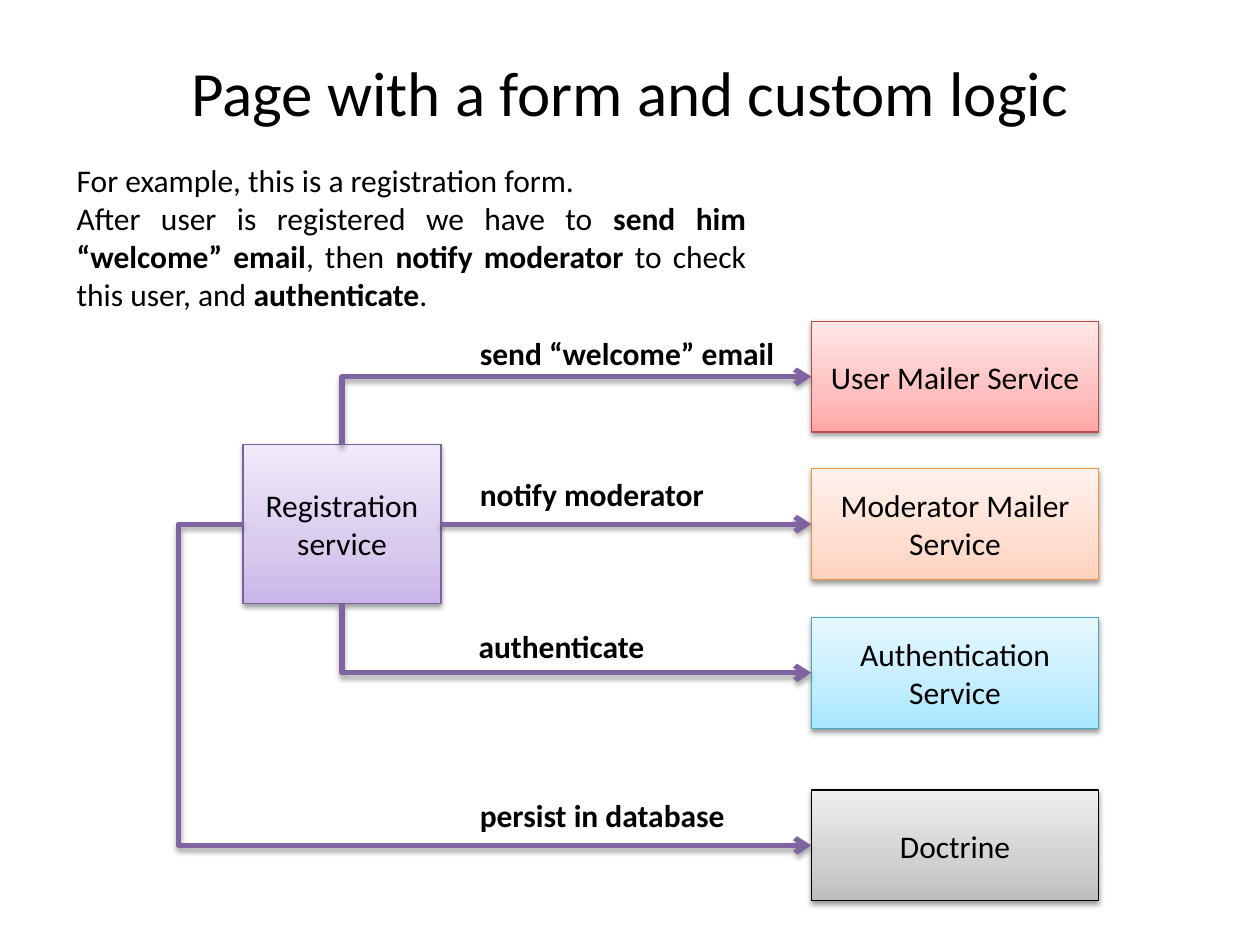
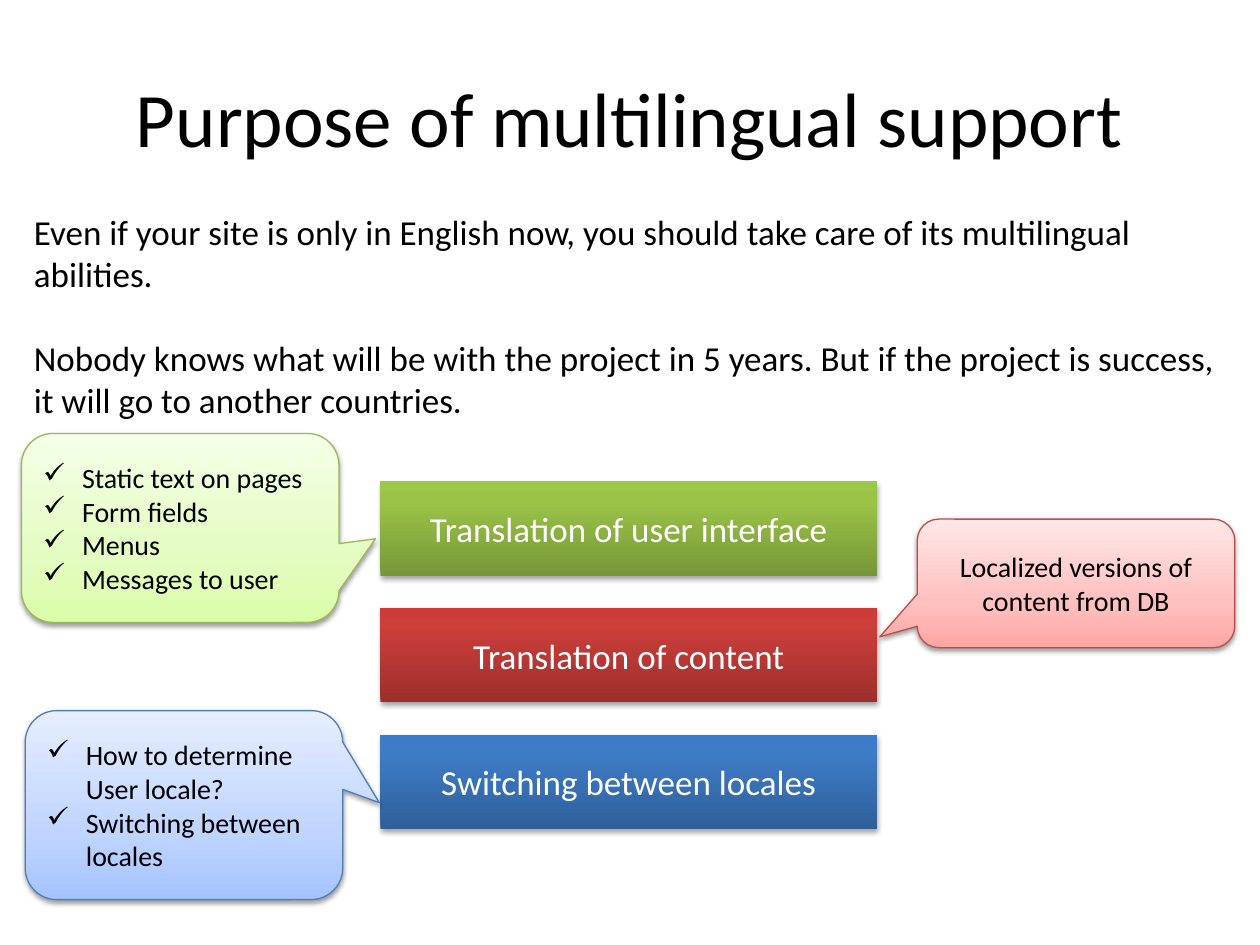
from copy import deepcopy
from dataclasses import dataclass

from lxml.etree import SubElement
from pptx import Presentation
from pptx.dml.color import RGBColor
from pptx.enum.shapes import MSO_CONNECTOR as Link, MSO_SHAPE as Shape
from pptx.enum.text import MSO_ANCHOR as Anchor, PP_ALIGN as Align
from pptx.oxml.ns import qn
from pptx.util import Inches, Pt

UNIT = Inches(0.1)  # the grid has 100 columns and 75 rows
TOP, LEFT, BOTTOM, RIGHT = range(4)


@dataclass(frozen=True)
class Tint:
    """Gradient colours from bottom to top, with an optional outline."""
    stops: tuple
    line: str = ""
    mid: float = 0.35


@dataclass(frozen=True)
class Theme:
    font: str = "Calibri"
    ink: str = "000000"
    paper: str = "FFFFFF"
    arrow: str = "8064A2"
    body: int = 18
    large: int = 20
    small: int = 16
    violet: Tint = Tint(("C9B5E8", "D8CBEE", "F0EAF9"), "7D60A0")
    red: Tint = Tint(("FFA6A5", "FFC0BF", "FFE7E7"), "BF4C48")
    peach: Tint = Tint(("FFD2BD", "FFDED0", "FFF2ED"), "F69240")
    aqua: Tint = Tint(("A7E6FF", "C1EDFF", "E7F8FF"), "46AAC5")
    grey: Tint = Tint(("BDBDBD", "D1D1D1", "EEEEEE"), "000000")
    lime: Tint = Tint(("DAFDA7", "E4FCC2", "F5FFE7"), "98B955")
    blue: Tint = Tint(("A4C4FF", "BFD4FF", "E6EEFF"), "4B7EBC")
    deep_green: Tint = Tint(("779737", "9BC348", "9DC746"), mid=0.8)
    deep_red: Tint = Tint(("9C2F2D", "CB3E3A", "CE3B37"), mid=0.8)
    deep_blue: Tint = Tint(("2F5F99", "3D7CC7", "3A7CCB"), mid=0.8)


THEME = Theme()


@dataclass(frozen=True)
class Box:
    """An area in grid columns and rows."""
    x: float
    y: float
    w: float
    h: float

    def sub(self, x, y, w, h):
        return Box(self.x + x, self.y + y, w, h)

    def emu(self):
        return [round(n * UNIT) for n in (self.x, self.y, self.w, self.h)]


def rgb(code):
    return RGBColor.from_string(code)


def style(para, size, color=THEME.ink, align=Align.LEFT, bold=None):
    font = para.font
    font.name, font.size, font.bold = THEME.font, Pt(size), bold
    font.color.rgb = rgb(color)
    para.alignment = align


def shade(item, alpha, dist):
    """Add a soft shadow below; call after fill and line are set."""
    effects = SubElement(item.element.spPr, qn("a:effectLst"))
    drop = SubElement(effects, qn("a:outerShdw"), blurRad=str(Pt(3.1)),
                      dist=str(Pt(dist)), dir="5400000", rotWithShape="0")
    black = SubElement(drop, qn("a:srgbClr"), val=THEME.ink)
    SubElement(black, qn("a:alpha"), val=str(alpha * 1000))


def paint(shape, tint):
    fill = shape.fill
    fill.gradient()
    fill.gradient_angle = 90
    stops = shape.element.spPr.find(".//" + qn("a:gsLst"))
    stops.append(deepcopy(stops[0]))
    for stop, place, code in zip(fill.gradient_stops, (0, tint.mid, 1), tint.stops):
        stop.position, stop.color.rgb = place, rgb(code)
    if tint.line:
        shape.line.color.rgb = rgb(tint.line)
        shape.line.width = Pt(0.75)
        shade(shape, 38, 1.6)
    else:
        shape.line.fill.background()
        shade(shape, 35, 1.8)


def panel(slide, box, lines, tint, size, kind=Shape.RECTANGLE, color=THEME.ink):
    shape = slide.shapes.add_shape(kind, *box.emu())
    paint(shape, tint)
    frame = shape.text_frame
    frame.word_wrap, frame.vertical_anchor = True, Anchor.MIDDLE
    frame.text = "\n".join(lines)
    for para in frame.paragraphs:
        style(para, size, color, Align.CENTER)
    return shape


def tick(para):
    props = para._p.get_or_add_pPr()
    props.set("marL", str(Inches(0.31)))
    props.set("indent", str(-Inches(0.31)))
    SubElement(props, qn("a:buChar"), char="✓")
    para.alignment = Align.LEFT


def callout(slide, box, lines, tint, tip, ticks=True):
    shape = panel(slide, box, lines, tint, THEME.small,
                  Shape.ROUNDED_RECTANGULAR_CALLOUT)
    for i, value in enumerate((*tip, 0.167)):
        shape.adjustments[i] = value
    if ticks:
        for para in shape.text_frame.paragraphs:
            tick(para)


def text(slide, box, wrap=True):
    frame = slide.shapes.add_textbox(*box.emu()).text_frame
    frame.word_wrap = wrap
    return frame


def label(slide, box, words):
    para = text(slide, box, wrap=False).paragraphs[0]
    para.text = words
    style(para, THEME.body, bold=True)


def start(deck, title, box, size):
    slide = deck.slides.add_slide(deck.slide_layouts[5])
    head = slide.shapes.title
    head.left, head.top, head.width, head.height = box.emu()
    head.text_frame.vertical_anchor = Anchor.MIDDLE
    head.text_frame.text = title
    style(head.text_frame.paragraphs[0], size, align=Align.CENTER)
    return slide


def bend(link):
    """Turn an elbow into a single corner that leaves vertically."""
    down = link.end_y > link.begin_y
    x, y, w, h = link.left, link.top, link.width, link.height
    link.left, link.top = x + (w - h) // 2, y + (h - w) // 2
    link.width, link.height = h, w
    frame = link.element.spPr.find(qn("a:xfrm"))
    frame.set("rot", "16200000")
    frame.set("flipH", str(int(down)))
    frame.set("flipV", "0")
    link.element.spPr.find(qn("a:prstGeom")).set("prst", "bentConnector2")


def join(slide, source, side, target):
    kind = Link.STRAIGHT if side == RIGHT else Link.ELBOW
    link = slide.shapes.add_connector(kind, 0, 0, 0, 0)
    link.begin_connect(source, side)
    link.end_connect(target, LEFT)
    if side in (TOP, BOTTOM):
        bend(link)
    elif side == LEFT:
        geom = link.element.spPr.find(qn("a:prstGeom"))
        guides = geom.find(qn("a:avLst"))
        if guides is None:
            guides = SubElement(geom, qn("a:avLst"))
        SubElement(guides, qn("a:gd"), name="adj1", fmla="val -11400")
    link.line.color.rgb = rgb(THEME.arrow)
    link.line.width = Pt(3)
    SubElement(link.line._get_or_add_ln(), qn("a:tailEnd"), type="arrow")
    shade(link, 35, 1.8)


def story(slide, box):
    frame = text(slide, box)
    first, second = frame.paragraphs[0], frame.add_paragraph()
    first.text = "For example, this is a registration form."
    parts = ("After user is registered we have to ", "send him “welcome” email",
             ", then ", "notify moderator ", "to check this user, and ",
             "authenticate", ".")
    for i, part in enumerate(parts):
        run = second.add_run()
        run.text, run.font.bold = part, i % 2 == 1
    style(first, THEME.body)
    style(second, THEME.body, align=Align.JUSTIFY)


def flow(slide, box):
    """Link the registration service to the four services it calls."""
    hub = panel(slide, box.sub(5.1, 9.8, 15.7, 12.6),
                ("Registration", "service"), THEME.violet, THEME.body)
    rows = (
        (0, "User Mailer Service", THEME.red, TOP, "send “welcome” email", 22.9, 0.5, 25.6),
        (11.7, "Moderator Mailer Service", THEME.peach, RIGHT, "notify moderator", 22.9, 0, 20),
        (23.5, "Authentication Service", THEME.aqua, BOTTOM, "authenticate", 22.8, 0.3, 15.3),
        (37.2, "Doctrine", THEME.grey, LEFT, "persist in database", 22.9, 0, 21.6),
    )
    for y, name, tint, side, words, x, drop, wide in rows:
        target = panel(slide, box.sub(50.2, y, 22.8, 8.8), (name,), tint, THEME.body)
        join(slide, hub, side, target)
        label(slide, box.sub(x, y + drop, wide, 4), words)


def logic_slide(deck):
    slide = start(deck, "Page with a form and custom logic", Box(5, 3, 90, 8.5), 36)
    story(slide, Box(5.1, 12.3, 55.1, 13.1))
    flow(slide, Box(14.2, 25.5, 73, 46))


def bars(slide, box):
    rows = (("Translation of user interface", THEME.deep_green),
            ("Translation of content", THEME.deep_red),
            ("Switching between locales", THEME.deep_blue))
    for i, (name, tint) in enumerate(rows):
        panel(slide, box.sub(0, i * 10.05, box.w, 7.5), (name,), tint,
              THEME.large, color=THEME.paper)


def hints(slide, box):
    callout(slide, box.sub(0, 0, 25.2, 15),
            ("Static text on pages", "Form fields", "Menus", "Messages to user"),
            THEME.lime, (0.615, 0.058))
    callout(slide, box.sub(71.1, 6.8, 25.2, 10.2),
            ("Localized versions of content from DB",),
            THEME.red, (-0.618, 0.416), ticks=False)
    callout(slide, box.sub(0.3, 22, 25.2, 15),
            ("How to determine User locale?", "Switching between locales"),
            THEME.blue, (0.615, -0.013))


def reasons(slide, box):
    frame = text(slide, box)
    first, second = frame.paragraphs[0], frame.add_paragraph()
    first.text = ("Even if your site is only in English now, you should take care "
                  "of its multilingual abilities.")
    second.text = ("Nobody knows what will be with the project in 5 years. But if "
                   "the project is success, it will go to another countries.")
    second.space_before = Pt(24)
    for para in frame.paragraphs:
        style(para, THEME.large)


def locale_slide(deck):
    slide = start(deck, "Purpose of multilingual support", Box(5, 3, 90, 12.5), 44)
    bars(slide, Box(30.2, 38.2, 39.4, 27.6))
    hints(slide, Box(1.7, 34.4, 96.3, 37))
    reasons(slide, Box(1.7, 16.2, 97.1, 17.8))


def main():
    deck = Presentation()
    deck.slide_width, deck.slide_height = 100 * UNIT, 75 * UNIT
    logic_slide(deck)
    locale_slide(deck)
    deck.save("out.pptx")


if __name__ == "__main__":
    main()
